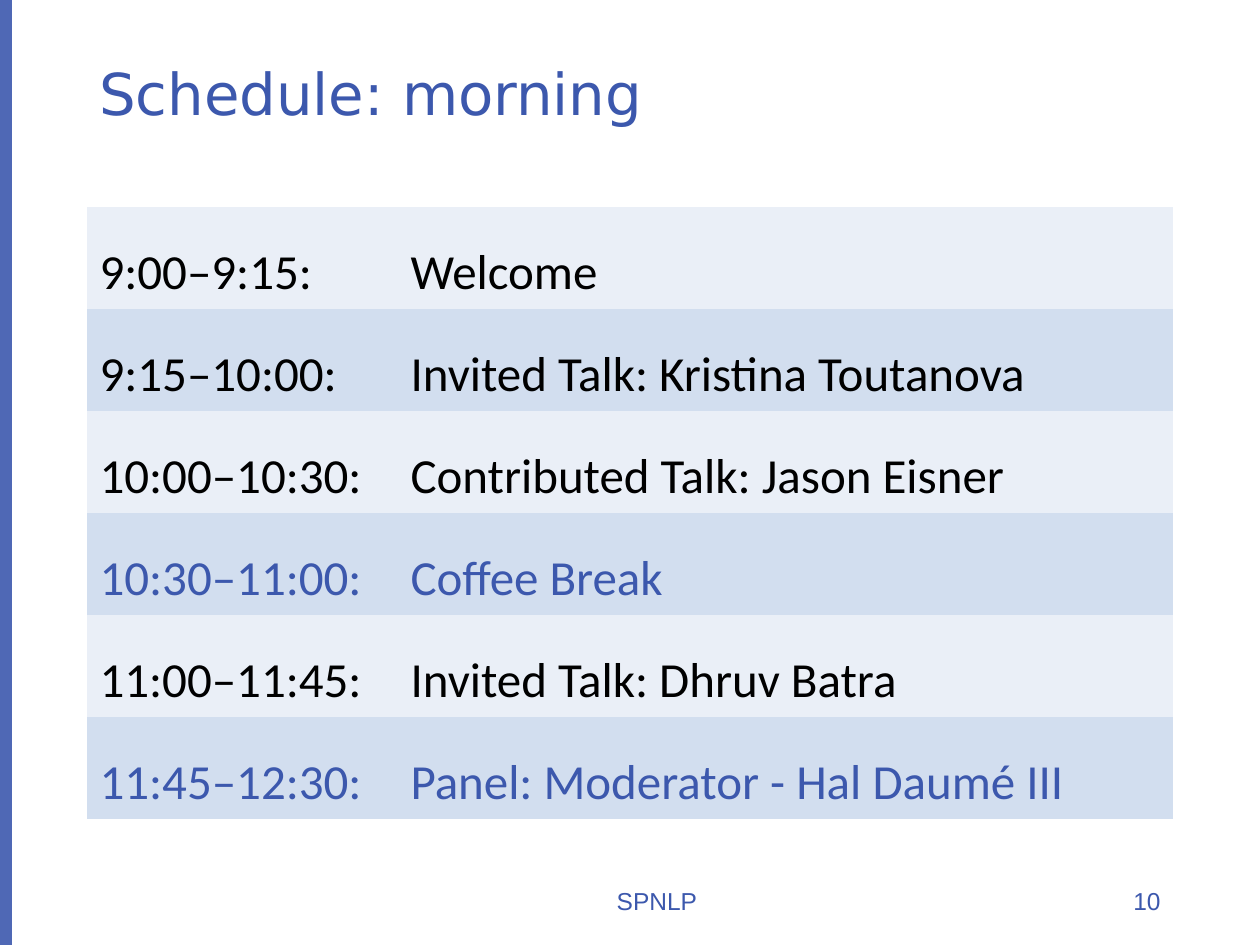
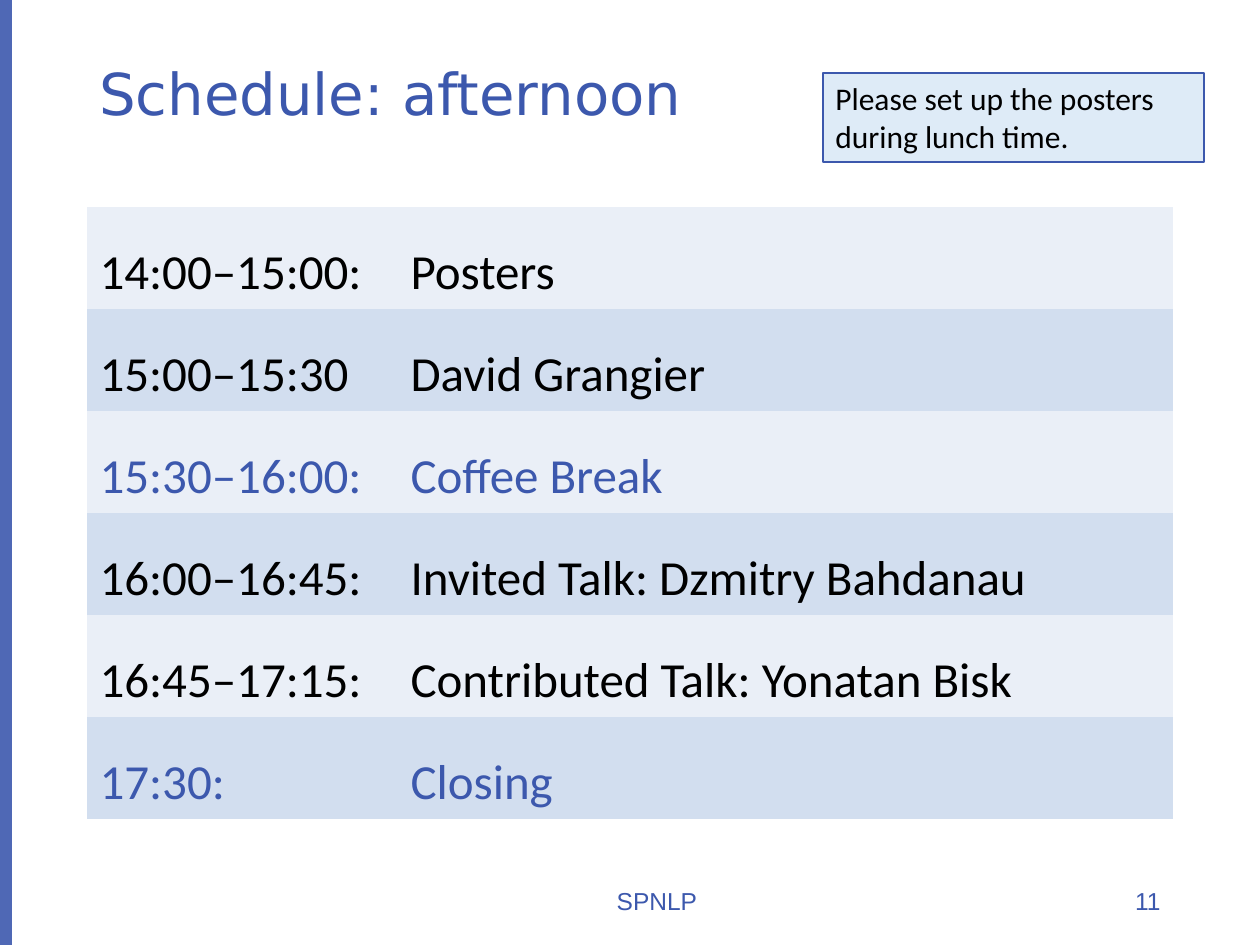
from dataclasses import dataclass
from typing import Optional

from lxml.etree import SubElement
from pptx import Presentation
from pptx.dml.color import RGBColor
from pptx.enum.shapes import MSO_SHAPE as SHAPE
from pptx.enum.text import MSO_ANCHOR as ANCHOR, MSO_AUTO_SIZE as AUTO, PP_ALIGN as ALIGN
from pptx.oxml.ns import qn
from pptx.util import Emu, Pt

PX_PER_INCH = 126
SLIDE_W, SLIDE_H = 1260, 945
MARGIN = 87
CONTENT_W = 1086
TIME_W = 311
ROW_H = 102
FOOTER_Y, FOOTER_H = 876, 50

COLORS = {
    "accent": "3C58AD",
    "text": "000000",
    "light_row": "EAEFF7",
    "dark_row": "D2DEEF",
    "note": "DEEBF7",
}
NO_GRID_STYLE = "{2D5ABB26-0587-4C30-8999-92F81FD0307C}"


@dataclass(frozen=True)
class Box:
    x: int
    y: int
    w: int
    h: int

    def emu(self) -> tuple[Emu, Emu, Emu, Emu]:
        return px(self.x), px(self.y), px(self.w), px(self.h)


@dataclass(frozen=True)
class Style:
    font: str
    size: int
    color: str
    align: ALIGN = ALIGN.LEFT
    spacing: float = 1.0


@dataclass(frozen=True)
class Session:
    time: str
    event: str
    highlight: bool = False


@dataclass(frozen=True)
class Page:
    number: int
    title: str
    sessions: list[Session]
    note: Optional[str] = None


TITLE_BOX = Box(MARGIN, 50, CONTENT_W, 93)
FOOTER_BOX = Box(417, FOOTER_Y, 480, FOOTER_H)
NUMBER_BOX = Box(989, FOOTER_Y, 184, FOOTER_H)
NOTE_BOX = Box(823, 73, 381, 89)

TITLE = Style("DejaVu Sans", 33, "accent", spacing=0.9)
FOOTER = Style("Arial", 14, "accent", ALIGN.CENTER)
NUMBER = Style("Arial", 14, "accent", ALIGN.RIGHT)
NOTE = Style("Calibri", 18, "text")
SESSION = Style("Calibri", 28, "text", spacing=1.5)
BREAK = Style("Calibri", 28, "accent", spacing=1.5)

PAGES = [
    Page(10, "Schedule: morning", [
        Session("9:00–9:15:", "Welcome"),
        Session("9:15–10:00:", "Invited Talk: Kristina Toutanova"),
        Session("10:00–10:30:", "Contributed Talk: Jason Eisner"),
        Session("10:30–11:00:", "Coffee Break", True),
        Session("11:00–11:45:", "Invited Talk: Dhruv Batra"),
        Session("11:45–12:30:", "Panel: Moderator - Hal Daumé III", True),
    ]),
    Page(11, "Schedule: afternoon", [
        Session("14:00–15:00:", "Posters"),
        Session("15:00–15:30", "David Grangier"),
        Session("15:30–16:00:", "Coffee Break", True),
        Session("16:00–16:45:", "Invited Talk: Dzmitry Bahdanau"),
        Session("16:45–17:15:", "Contributed Talk: Yonatan Bisk"),
        Session("17:30:", "Closing", True),
    ], note="Please set up the posters during lunch time."),
]


def px(n: int) -> Emu:
    return Emu(round(n * 914400 / PX_PER_INCH))


def rgb(name: str) -> RGBColor:
    return RGBColor.from_string(COLORS[name])


def paint(target, color: str) -> None:
    """Give a shape or a table cell a solid fill."""
    target.fill.solid()
    target.fill.fore_color.rgb = rgb(color)


def write(tf, text: str, style: Style) -> None:
    tf.word_wrap = True
    p = tf.paragraphs[0]
    p.text = text
    p.alignment = style.align
    p.line_spacing = style.spacing
    p.font.name = style.font
    p.font.size = Pt(style.size)
    p.font.color.rgb = rgb(style.color)


def add_text(s, box: Box, text: str, style: Style) -> None:
    tf = s.shapes.add_textbox(*box.emu()).text_frame
    tf.vertical_anchor = ANCHOR.MIDDLE
    write(tf, text, style)


def add_rect(s, box: Box, color: str):
    sp = s.shapes.add_shape(SHAPE.RECTANGLE, *box.emu())
    sp.shadow.inherit = False
    paint(sp, color)
    return sp


def add_side_band(s) -> None:
    sp = add_rect(s, Box(0, 0, 12, SLIDE_H), "accent")
    sp.line.fill.background()
    color = sp.element.spPr.find(f"{qn('a:solidFill')}/{qn('a:srgbClr')}")
    SubElement(color, qn("a:alpha"), val="90000")


def add_note(s, text: str) -> None:
    sp = add_rect(s, NOTE_BOX, "note")
    sp.line.color.rgb = rgb("accent")
    sp.line.width = Pt(0.75)
    tf = sp.text_frame
    tf.vertical_anchor = ANCHOR.TOP
    tf.auto_size = AUTO.SHAPE_TO_FIT_TEXT
    write(tf, text, NOTE)


def add_schedule(s, sessions: list[Session]) -> None:
    box = Box(MARGIN, 207, CONTENT_W, ROW_H * len(sessions))
    frame = s.shapes.add_table(len(sessions), 2, *box.emu())
    next(frame.element.iter(qn("a:tableStyleId"))).text = NO_GRID_STYLE
    table = frame.table
    table.first_row = False
    for column, width in zip(table.columns, (TIME_W, CONTENT_W - TIME_W)):
        column.width = px(width)
    for i, (row, session) in enumerate(zip(table.rows, sessions)):
        row.height = px(ROW_H)
        for cell, text in zip(row.cells, (session.time, session.event)):
            paint(cell, "dark_row" if i % 2 else "light_row")
            cell.vertical_anchor = ANCHOR.MIDDLE
            write(cell.text_frame, text, BREAK if session.highlight else SESSION)


def add_page(prs, page: Page) -> None:
    s = prs.slides.add_slide(prs.slide_layouts[6])
    add_side_band(s)
    add_text(s, TITLE_BOX, page.title, TITLE)
    add_schedule(s, page.sessions)
    add_text(s, FOOTER_BOX, "SPNLP", FOOTER)
    add_text(s, NUMBER_BOX, str(page.number), NUMBER)
    if page.note:
        add_note(s, page.note)


def main() -> None:
    prs = Presentation()
    prs.slide_width, prs.slide_height = px(SLIDE_W), px(SLIDE_H)
    for page in PAGES:
        add_page(prs, page)
    prs.save("out.pptx")


if __name__ == "__main__":
    main()
